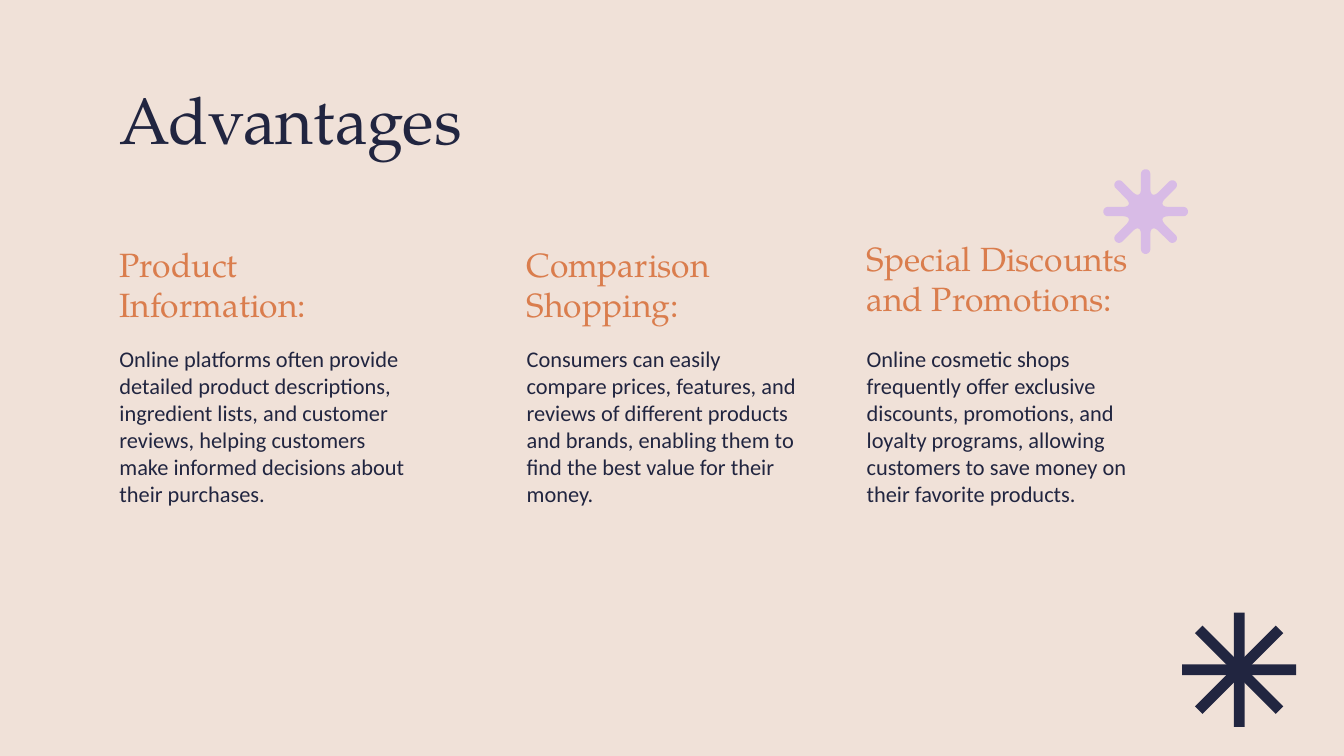
from dataclasses import dataclass
from math import cos, pi, sin

from pptx import Presentation
from pptx.dml.color import RGBColor
from pptx.enum.shapes import MSO_SHAPE
from pptx.enum.text import MSO_ANCHOR, MSO_AUTO_SIZE, PP_ALIGN
from pptx.util import Inches, Pt

WIDTH = Inches(10)
HEIGHT = WIDTH * 9 // 16
INSET = Inches(0.1)


@dataclass(frozen=True)
class Theme:
    background: RGBColor = RGBColor(0xF0, 0xE1, 0xD8)
    ink: RGBColor = RGBColor(0x21, 0x25, 0x40)
    accent: RGBColor = RGBColor(0xDA, 0x7D, 0x4D)
    lavender: RGBColor = RGBColor(0xD8, 0xBB, 0xE6)
    display_font: str = "TeX Gyre Pagella"
    body_font: str = "Calibri"
    title_size: int = 35
    heading_size: int = 18
    body_size: int = 12


@dataclass(frozen=True)
class Advantage:
    """One column; boxes are left, top, width, height in percent of the slide."""
    heading: str
    heading_box: tuple
    body: str
    body_box: tuple
    heading_bottom_inset: float = 0.1
    body_indent: float = 0


THEME = Theme()
TITLE_BOX = (7.9, 8.7, 84.3, 11.2)
ADVANTAGES = [
    Advantage(
        "Product\nInformation:", (7.9, 33.6, 23.8, 16.4),
        "Online platforms often provide detailed product descriptions, "
        "ingredient lists, and customer reviews, helping customers make "
        "informed decisions about their purchases.",
        (7.9, 43.9, 23.8, 32.9), heading_bottom_inset=0.4),
    Advantage(
        "Comparison Shopping:", (38.2, 33.6, 21.2, 16.4),
        "Consumers can easily compare prices, features, and reviews of "
        "different products and brands, enabling them to find the best "
        "value for their money.",
        (36.5, 43.9, 23.8, 34.5), heading_bottom_inset=0.4, body_indent=0.17),
    Advantage(
        "Special Discounts and Promotions:", (63.5, 32.7, 23.8, 11.2),
        "Online cosmetic shops frequently offer exclusive discounts, "
        "promotions, and loyalty programs, allowing customers to save "
        "money on their favorite products.",
        (63.5, 43.9, 23.8, 32.9)),
]


def across(percent):
    return round(WIDTH * percent / 100)


def down(percent):
    return round(HEIGHT * percent / 100)


def to_frame(box):
    left, top, width, height = box
    return across(left), down(top), across(width), down(height)


def write_text(shape, text, font_name, size, color, anchor=MSO_ANCHOR.TOP,
               bottom_inset=INSET):
    frame = shape.text_frame
    frame.text = text
    frame.word_wrap = True
    frame.auto_size = MSO_AUTO_SIZE.NONE
    frame.vertical_anchor = anchor
    frame.margin_left = frame.margin_right = frame.margin_top = INSET
    frame.margin_bottom = bottom_inset
    for paragraph in frame.paragraphs:
        paragraph.alignment = PP_ALIGN.LEFT
        paragraph.line_spacing = 1.0
        paragraph.space_before = Pt(0)
        for run in paragraph.runs:
            run.font.name = font_name
            run.font.size = Pt(size)
            run.font.color.rgb = color


def add_title(slide, text):
    title = slide.shapes.title
    title.left, title.top, title.width, title.height = to_frame(TITLE_BOX)
    write_text(title, text, THEME.display_font, THEME.title_size, THEME.ink)


def add_advantage(slide, advantage):
    heading = slide.shapes.add_textbox(*to_frame(advantage.heading_box))
    write_text(heading, advantage.heading, THEME.display_font,
               THEME.heading_size, THEME.accent, MSO_ANCHOR.BOTTOM,
               Inches(advantage.heading_bottom_inset))
    body = slide.shapes.add_textbox(*to_frame(advantage.body_box))
    write_text(body, advantage.body, THEME.body_font, THEME.body_size, THEME.ink)
    if advantage.body_indent:
        properties = body.text_frame.paragraphs[0]._p.get_or_add_pPr()
        properties.set("marL", str(Inches(advantage.body_indent)))
        properties.set("indent", "0")


def paint(shape, color):
    shape.shadow.inherit = False
    shape.fill.solid()
    shape.fill.fore_color.rgb = color
    shape.line.fill.background()


def add_bar_star(slide, center_x, center_y, length, thickness):
    """Four crossed bars, each turned a further 45 degrees."""
    group = slide.shapes.add_group_shape()
    for turn in range(4):
        bar = group.shapes.add_shape(
            MSO_SHAPE.RECTANGLE, center_x - length // 2,
            center_y - thickness // 2, length, thickness)
        bar.rotation = 45 * turn
        paint(bar, THEME.ink)


def add_round_star(slide, center_x, center_y, radius):
    """Eight arms with round tips and rounded notches between them."""
    half_arm = 0.11
    notch = [(0.40, 0.17), (0.42, 0.14), (0.46, 0.12), (0.52, half_arm)]
    tip = [(1 - half_arm + half_arm * cos(step * pi / 12),
            half_arm * sin(step * pi / 12)) for step in range(-6, 7)]
    arm = [(along, -side) for along, side in notch] + tip + notch[::-1]
    points = []
    for turn in range(8):
        angle = turn * pi / 4
        points += [
            (round(center_x + radius * (along * cos(angle) - side * sin(angle))),
             round(center_y + radius * (along * sin(angle) + side * cos(angle))))
            for along, side in arm]
    builder = slide.shapes.build_freeform(*points[0])
    builder.add_line_segments(points[1:], close=True)
    paint(builder.convert_to_shape(), THEME.lavender)


def main():
    presentation = Presentation()
    presentation.slide_width = WIDTH
    presentation.slide_height = HEIGHT
    slide = presentation.slides.add_slide(presentation.slide_layouts[5])
    slide.background.fill.solid()
    slide.background.fill.fore_color.rgb = THEME.background

    add_title(slide, "Advantages")
    for advantage in ADVANTAGES:
        add_advantage(slide, advantage)
    add_bar_star(slide, across(92.2), down(88.6), across(8.5), across(0.8))
    add_round_star(slide, across(85.25), down(28), across(3.15))
    presentation.save("out.pptx")


if __name__ == "__main__":
    main()
